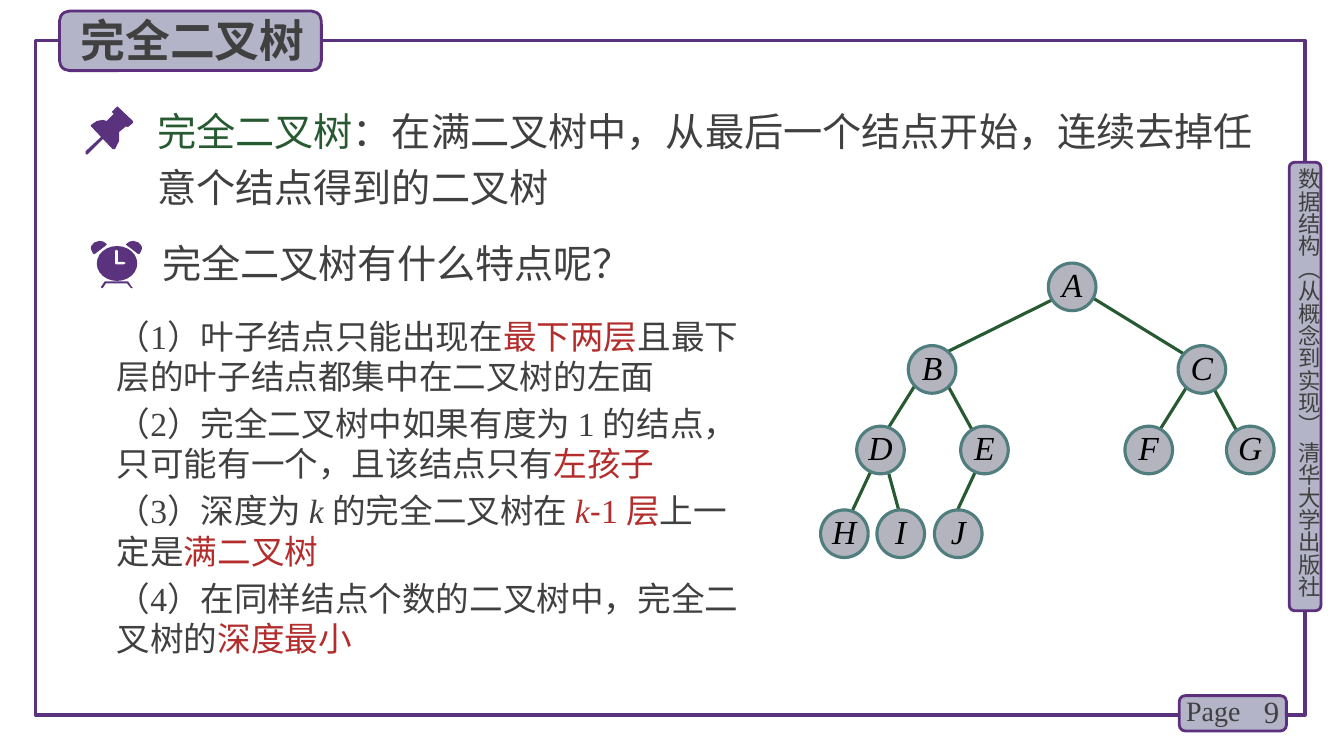
from lxml import etree
from pptx import Presentation
from pptx.dml.color import RGBColor
from pptx.enum.shapes import MSO_CONNECTOR, MSO_SHAPE
from pptx.enum.text import MSO_ANCHOR, MSO_AUTO_SIZE, PP_ALIGN
from pptx.oxml.ns import qn
from pptx.util import Cm, Pt

RECT, ROUND, OVAL = MSO_SHAPE.RECTANGLE, MSO_SHAPE.ROUNDED_RECTANGLE, MSO_SHAPE.OVAL
STRAIGHT = MSO_CONNECTOR.STRAIGHT
TOP, MIDDLE = MSO_ANCHOR.TOP, MSO_ANCHOR.MIDDLE
LEFT, CENTER, RIGHT = PP_ALIGN.LEFT, PP_ALIGN.CENTER, PP_ALIGN.RIGHT
FIXED = MSO_AUTO_SIZE.NONE

COLORS = {
    "frame": "5A327D", "edge": "5C307D", "tab": "B4B4C8", "text": "404040",
    "red": "B42D2D", "green": "285A32", "node": "B4B4BE", "ring": "507D7D",
    "black": "000000", "white": "FFFFFF",
}
SANS, SERIF = "Noto Sans CJK SC", "Times New Roman"
RED = {"color": "red"}

POINTS = [
    [("（1）叶子结点只能出现在", {}), ("最下两层", RED),
     ("且最下层的叶子结点都集中在二叉树的左面", {})],
    [("（2）完全二叉树中如果有度为 1 的结点，只可能有一个，且该结点只有", {}),
     ("左孩子", RED)],
    [("（3）深度为 ", {}), ("k ", {"italic": True}), ("的完全二叉树在 ", {}),
     ("k", {"color": "red", "italic": True}), ("-", {"color": "red", "font": "Arial"}),
     ("1 层", RED), ("上一定是", {}), ("满二叉树", RED)],
    [("（4）在同样结点个数的二叉树中，完全二叉树的", {}), ("深度最小", RED)],
]
NODES = {
    6.63: {"A": 26.42},
    8.71: {"B": 22.89, "C": 29.69},
    10.74: {"D": 21.59, "E": 24.21, "F": 28.35, "G": 30.91},
    12.85: {"H": 20.68, "I": 22.1, "J": 23.55},
}
EDGES = [
    (26.49, 7.57, 23.72, 8.94), (27.43, 7.44, 30, 9.02),
    (23.16, 9.55, 22.3, 10.92), (23.85, 9.65, 24.59, 11),
    (29.92, 9.73, 29.06, 11.1), (30.61, 9.83, 31.34, 11.18),
    (22, 11.76, 21.49, 12.85), (22.4, 11.94, 22.71, 13.08),
    (24.64, 11.76, 24.13, 12.85),
]
PIN = [
    (3.35, 3.05), (2.97, 2.69), (2.95, 2.69), (2.82, 2.82), (2.87, 2.87),
    (2.69, 3.05), (2.59, 3.02), (2.44, 3.05), (2.29, 3.15), (2.29, 3.18),
    (2.84, 3.76), (2.9, 3.76), (3, 3.56), (3, 3.33), (3.18, 3.18),
    (3.2, 3.2), (3.23, 3.2), (3.35, 3.1),
]
NEEDLE = [(2.16, 3.89), (2.16, 3.81), (2.57, 3.43), (2.62, 3.43), (2.62, 3.48), (2.21, 3.89)]
LEGS = [
    (3.33, 7.24), (3.23, 7.09), (2.64, 7.09), (2.54, 7.24), (2.57, 7.26),
    (2.59, 7.26), (2.67, 7.14), (3.2, 7.14), (3.3, 7.26), (3.35, 7.26),
]
BELL = [
    (2.51, 6.07), (2.38, 6.11), (2.3, 6.2), (2.29, 6.27), (2.34, 6.38),
    (2.36, 6.4), (2.39, 6.4), (2.69, 6.17), (2.69, 6.15), (2.61, 6.09),
]
HANDS = [
    (2.9, 6.32), (2.93, 6.3), (2.97, 6.32), (2.97, 6.6), (3.12, 6.6),
    (3.17, 6.63), (3.12, 6.66), (2.92, 6.66), (2.9, 6.63),
]


def paint(name):
    """Return the named colour."""
    return RGBColor.from_string(COLORS[name])


def write(para, text, font=SERIF, size=24, color="text", bold=False, italic=False):
    """Add a formatted run to a paragraph."""
    run = para.add_run()
    run.text = text
    style = run.font
    style.size, style.bold, style.italic = Pt(size), bold, italic
    style.color.rgb = paint(color)
    style.name = font
    etree.SubElement(style._element, qn("a:ea"), typeface=SANS)


class Board:
    """Draws styled elements on one slide."""

    def __init__(self, slide):
        """Keep the slide and its shapes."""
        self.slide = slide
        self.shapes = slide.shapes

    def finish(self, shape, fill=None, line=None, width=2):
        """Set fill and outline without a shadow."""
        shape.shadow.inherit = False
        if fill:
            shape.fill.solid()
            shape.fill.fore_color.rgb = paint(fill)
        else:
            shape.fill.background()
        if line:
            shape.line.color.rgb = paint(line)
            shape.line.width = Pt(width)
        else:
            shape.line.fill.background()
        return shape

    def block(self, kind, box, **look):
        """Add a preset shape."""
        return self.finish(self.shapes.add_shape(kind, *map(Cm, box)), **look)

    def outline(self, dots, fill="frame"):
        """Add a closed polygon."""
        spots = [(Cm(x), Cm(y)) for x, y in dots]
        build = self.shapes.build_freeform(*spots[0], scale=1.0)
        build.add_line_segments(spots[1:])
        return self.finish(build.convert_to_shape(), fill=fill)

    def link(self, ends):
        """Add a tree edge."""
        line = self.shapes.add_connector(STRAIGHT, *map(Cm, ends))
        line.line.color.rgb = paint("green")
        line.line.width = Pt(2.25)
        etree.SubElement(line._element.spPr, qn("a:effectLst"))

    def setup(self, shape, pad=(0.25, 0.13), anchor=TOP):
        """Prepare a text frame and return it."""
        frame = shape.text_frame
        frame.word_wrap, frame.auto_size = True, FIXED
        frame.vertical_anchor = anchor
        frame.margin_left = frame.margin_right = Cm(pad[0])
        frame.margin_top = frame.margin_bottom = Cm(pad[1])
        return frame

    def label(self, box, runs, align=LEFT, space=None, **look):
        """Add a text box of one paragraph."""
        frame = self.setup(self.shapes.add_textbox(*map(Cm, box)), **look)
        para = frame.paragraphs[0]
        para.alignment = align
        if space:
            para.line_spacing = Pt(space)
        for text, style in runs:
            write(para, text, **style)
        return frame

    def holder(self, shape, box, paras):
        """Move a placeholder to the front and fill it."""
        shape.left, shape.top, shape.width, shape.height = map(Cm, box)
        self.shapes._spTree.append(shape._element)
        frame = self.setup(shape)
        for num, runs in enumerate(paras):
            para = frame.add_paragraph() if num else frame.paragraphs[0]
            props = para._p.get_or_add_pPr()
            props.set("marL", "0")
            props.set("indent", "0")
            etree.SubElement(props, qn("a:buNone"))
            para.alignment = LEFT
            para.space_before = Pt(4.8 if num else 0)
            for text, style in runs:
                write(para, text, **style)

    def node(self, name, left, top):
        """Add a tree node."""
        shape = self.block(OVAL, (left, top, 1.2, 1.2), fill="node", line="ring", width=2.25)
        para = self.setup(shape, (0, 0), MIDDLE).paragraphs[0]
        para.alignment, para.line_spacing = CENTER, Pt(25)
        write(para, name, color="black", italic=True)


def main():
    """Build and save the slide."""
    deck = Presentation()
    deck.slide_width, deck.slide_height = Cm(33.87), Cm(19.05)
    board = Board(deck.slides.add_slide(deck.slide_layouts[1]))
    title, body = board.slide.placeholders

    board.block(RECT, (0.89, 1.02, 32, 17), line="frame", width=2.25)
    for box in [(32.49, 4.09, 0.8, 11.3), (29.72, 17.53, 2.7, 0.89), (1.5, 0.28, 6.6, 1.5)]:
        board.block(ROUND, box, fill="tab", line="edge")
    side = board.label((32.64, 4.24, 0.69, 11.4),
                       [("数据结构（从概念到实现） 清华大学出版社", {"font": SANS, "size": 16})],
                       pad=(0, 0))
    side._txBody.bodyPr.set("vert", "eaVert")
    board.label((30.99, 17.42, 1.5, 1.02), [("9", {"size": 22})], align=RIGHT, anchor=MIDDLE)
    board.label((29.64, 17.35, 2, 1.12), [("Page", {"size": 20})])
    board.holder(title, (1.78, 0.18, 6.35, 1.63),
                 [[("完全二叉树", {"font": SANS, "size": 32, "bold": True})]])

    board.label((3.96, 2.36, 28.22, 3.1), [
        ("完全二叉树", {"size": 28, "color": "green"}),
        ("：在满二叉树中，从最后一个结点开始，连续去掉任意个结点得到的二叉树", {"size": 28}),
    ], space=40, pad=(0, 0.13))
    board.label((3.84, 5.89, 13.3, 1.45),
                [("完全二叉树有什么特点呢？", {"font": SANS, "size": 28})])
    mirror = [(5.87 - x, y) for x, y in BELL]
    for dots in (PIN, NEEDLE, LEGS, BELL, mirror):
        board.outline(dots)
    board.block(OVAL, (2.44, 6.2, 1.02, 0.88), fill="frame")
    board.outline(HANDS, fill="white")
    board.holder(body, (2.69, 7.82, 16.54, 8.84), POINTS)

    for ends in EDGES:
        board.link(ends)
    for top, row in NODES.items():
        for name, left in row.items():
            board.node(name, left, top)
    deck.save("out.pptx")


if __name__ == "__main__":
    main()
